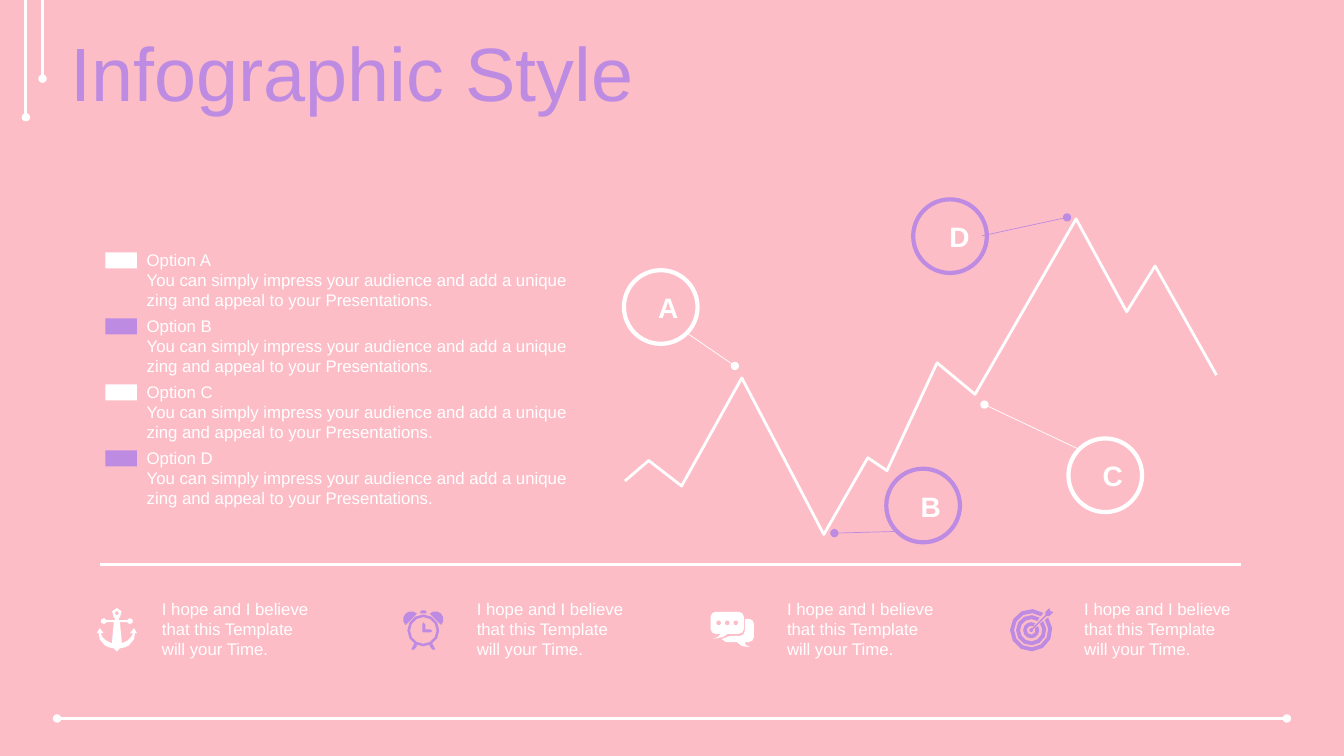
"""Build the infographic slide with a trend line, four options and four icons."""
from dataclasses import dataclass
from math import cos, radians, sin

from lxml.etree import SubElement
from pptx import Presentation
from pptx.dml.color import RGBColor
from pptx.enum.shapes import MSO_CONNECTOR, MSO_SHAPE
from pptx.enum.text import MSO_ANCHOR, MSO_AUTO_SIZE, PP_ALIGN
from pptx.oxml.ns import qn
from pptx.shapes.base import BaseShape
from pptx.slide import Slide
from pptx.util import Pt

Point = tuple[float, float]
Path = list[Point]


@dataclass(frozen=True)
class Theme:
    """Hold the colours, font and type sizes."""
    back: RGBColor = RGBColor(0xFD, 0xBD, 0xC7)
    white: RGBColor = RGBColor(0xFF, 0xFF, 0xFF)
    accent: RGBColor = RGBColor(0xBE, 0x8B, 0xE2)
    font: str = "Arial"
    title: float = 54
    label: float = 20
    body: float = 12


@dataclass(frozen=True)
class Callout:
    """Describe a lettered circle and its pointer."""
    letter: str
    spot: Point
    start: Point
    end: Point
    color: RGBColor
    inset: float = 17.4


@dataclass(frozen=True)
class Icon:
    """Describe an icon and the left edge of its caption."""
    origin: Point
    paths: list[Path]
    color: RGBColor
    left: float


@dataclass(frozen=True)
class Rule:
    """Describe a straight line with optional oval ends."""
    start: Point
    end: Point
    head: bool = False
    tail: bool = True


THEME = Theme()
UNIT = 0.72
DISC = 52.6
STEP = 47.15
BLURB = "You can simply impress your audience and add a unique zing and appeal to your Presentations."
HOPE = "I hope and I believe that this Template will your Time."


def arc(x: float, y: float, r: float, start: float, end: float) -> Path:
    """Return points along a circular arc."""
    count = max(2, round(abs(end - start) / (30 if r > 6 else 60)))
    turns = [radians(start + (end - start) * i / count) for i in range(count + 1)]
    return [(x + r * cos(t), y + r * sin(t)) for t in turns]


def ring(x: float, y: float, r: float) -> Path:
    """Return the points of a full circle."""
    return arc(x, y, r, 0, 360)[:-1]


def band(small: float, large: float, start: float, end: float) -> Path:
    """Return an open ring around the centre."""
    return arc(0, 0, large, start, end) + arc(0, 0, small, end, start)


def flip(path: Path) -> Path:
    """Mirror a path left to right, in reverse order."""
    return [(-x, y) for x, y in reversed(path)]


def anchor() -> list[Path]:
    """Return the anchor outline."""
    half = (arc(0, -17, 5, -90, 50) + [(2, -12), (2, -10)] + arc(13, -9, 3, 200, 520)
            + [(3, -8), (5, 13), (11, 10), (14, 7), (16, 3), (13, 3), (17, -2), (20, 3),
               (18, 3), (17, 9), (12, 15), (8, 17), (3, 18), (0, 21)])
    return [half + flip(half)[1:-1], ring(0, -17, 2)]


def clock() -> list[Path]:
    """Return the alarm clock outline."""
    ear = arc(12, -11, 8, -135, 45)
    leg = [(9, 13), (12, 19), (9, 19), (6, 15)]
    knob = [(-3, -17), (-3, -19), (-1, -20), (1, -20), (3, -19), (3, -17)]
    hands = [(0, -8), (2, -6), (2, -1), (7, -1), (9, 0.5), (7, 2), (0, 2), (-1, 1), (-1, -6)]
    return [ring(0, 0, 15.8), ring(0, 0, 13.2), ear, flip(ear), leg, flip(leg), knob, hands]


def chat() -> list[Path]:
    """Return the two speech bubbles."""
    front = (arc(5, 5, 5, 180, 270) + arc(28, 5, 5, 270, 360) + arc(28, 17, 5, 0, 90)
             + [(17, 22), (12, 25), (2, 27), (7, 25), (10, 22)] + arc(5, 17, 5, 90, 180))
    rear = ([(34, 7)] + arc(38, 12, 5, 270, 360) + arc(38, 25, 5, 0, 90)
            + [(34, 30), (35, 33), (39, 35), (31, 34), (26, 30), (15, 30), (11, 27),
               (19, 24)] + arc(29, 19, 5, 90, 0))
    return [front, rear] + [ring(8 + 8.5 * i, 11, 2.6) for i in range(3)]


def target() -> list[Path]:
    """Return the target and its arrow."""
    arrow = ([(18, -22), (19, -19), (22, -18), (18, -14), (15, -14), (2, -1)]
             + arc(0, 0, 2, 0, 270) + [(1, -2), (14, -15), (14, -18)])
    return [band(17, 21, -37, 305), band(11, 15, -37, 304), band(4.5, 8, -30, 300), arrow]


def draw(slide: Slide, paths: list[Path], origin: Point = (0, 0),
         scale: float = 1, close: bool = True) -> BaseShape:
    """Draw paths as one freeform."""
    first, *rest = [[(Pt(origin[0] + x * scale), Pt(origin[1] + y * scale))
                     for x, y in path] for path in paths]
    pen = slide.shapes.build_freeform(*first[0])
    pen.add_line_segments(first[1:], close=close)
    for path in rest:
        pen.move_to(*path[0])
        pen.add_line_segments(path[1:], close=close)
    return pen.convert_to_shape()


def paint(shape: BaseShape, fill: RGBColor | None = None,
          line: RGBColor | None = None, width: float = 1) -> None:
    """Set the fill and outline of a shape."""
    shape.shadow.inherit = False
    if fill is None:
        shape.fill.background()
    else:
        shape.fill.solid()
        shape.fill.fore_color.rgb = fill
    if line is None:
        shape.line.fill.background()
    else:
        shape.line.color.rgb = line
        shape.line.width = Pt(width)


def link(slide: Slide, rule: Rule, color: RGBColor, width: float) -> None:
    """Draw a line with its oval ends."""
    ends = [Pt(n) for n in rule.start + rule.end]
    line = slide.shapes.add_connector(MSO_CONNECTOR.STRAIGHT, *ends)
    line.line.color.rgb = color
    line.line.width = Pt(width)
    props = line._element.spPr
    for tag, shown in (("a:headEnd", rule.head), ("a:tailEnd", rule.tail)):
        if shown:
            SubElement(props.find(qn("a:ln")), qn(tag), type="oval")
    SubElement(props, qn("a:effectLst"))


def write(slide: Slide, text: str, box: tuple[float, float, float, float], *,
          size: float = THEME.body, color: RGBColor = THEME.white, bold: bool = False,
          align: PP_ALIGN = PP_ALIGN.LEFT, middle: bool = False, grow: bool = True,
          space: float = 1, before: float = 0) -> None:
    """Add a text box, one paragraph to a line."""
    frame = slide.shapes.add_textbox(*[Pt(n) for n in box]).text_frame
    frame.word_wrap = True
    frame.auto_size = MSO_AUTO_SIZE.SHAPE_TO_FIT_TEXT if grow else MSO_AUTO_SIZE.NONE
    frame.vertical_anchor = MSO_ANCHOR.MIDDLE if middle else MSO_ANCHOR.TOP
    frame.text = text
    for para in frame.paragraphs:
        para.alignment = align
        para.line_spacing = space
        para.space_before = Pt(before)
        font = para.runs[0].font
        font.name, font.size, font.bold = THEME.font, Pt(size), bold
        font.color.rgb = color


def main() -> None:
    """Build and save the slide."""
    deck = Presentation()
    deck.slide_width, deck.slide_height = Pt(960), Pt(540)
    slide = deck.slides.add_slide(deck.slide_layouts[6])
    slide.background.fill.solid()
    slide.background.fill.fore_color.rgb = THEME.back

    for rule in (Rule((40.8, 513.2), (919.2, 513.2), head=True),
                 Rule((18.5, 0), (18.5, 83.7)), Rule((30.4, 0), (30.4, 56.2)),
                 Rule((71.3, 403.5), (886.3, 403.5), tail=False)):
        link(slide, rule, THEME.white, 2)
    write(slide, "Infographic Style", (43.2, 26.6, 916.6, 56.9), size=THEME.title,
          color=THEME.accent, middle=True, grow=False, space=0.9, before=10)

    trend = [(446.4, 343.6), (463.4, 329), (486.9, 347.2), (529.9, 270), (588.5, 381.8),
             (619.9, 327), (633.6, 336.2), (669.4, 259.2), (696.5, 281.7),
             (768.7, 156.4), (804.8, 222.7), (825.1, 190.1), (869, 268)]
    paint(draw(slide, [trend], close=False), line=THEME.white, width=2)

    for call in (
            Callout("A", (445.7, 193), (490.3, 237.6), (524.9, 261.4), THEME.white),
            Callout("B", (633.1, 334.8), (641, 379.6), (596, 380.8), THEME.accent),
            Callout("C", (763.2, 313.2), (771.1, 321.1), (703.2, 289), THEME.white),
            Callout("D", (652.3, 142.4), (701.3, 168.5), (762.2, 155.3), THEME.accent, 18.7)):
        x, y = call.spot
        disc = slide.shapes.add_shape(MSO_SHAPE.OVAL, Pt(x), Pt(y), Pt(DISC), Pt(DISC))
        paint(disc, line=call.color, width=3)
        link(slide, Rule(call.start, call.end), call.color, 0.5)
        write(slide, call.letter, (x + call.inset, y + 11.1, DISC - 2 * call.inset, 31.7),
              size=THEME.label, bold=True, align=PP_ALIGN.CENTER)

    for i, name in enumerate("ABCD"):
        chip = slide.shapes.add_shape(MSO_SHAPE.RECTANGLE, Pt(75.2), Pt(180.3 + STEP * i),
                                      Pt(22.6), Pt(11.4))
        paint(chip, fill=THEME.accent if i % 2 else THEME.white)
        write(slide, f"Option {name}\n{BLURB}", (97.7, 174.7 + STEP * i, 316.8, 51))

    for icon in (Icon((83.5, 450.2), anchor(), THEME.white, 108.6),
                 Icon((302.4, 450.3), clock(), THEME.accent, 333.5),
                 Icon((507.6, 437), chat(), THEME.white, 555.1),
                 Icon((736.6, 450.2), target(), THEME.accent, 767.4)):
        paint(draw(slide, icon.paths, icon.origin, UNIT), fill=icon.color)
        write(slide, HOPE, (icon.left, 424.1, 124.6, 51))

    deck.save("out.pptx")


if __name__ == "__main__":
    main()
